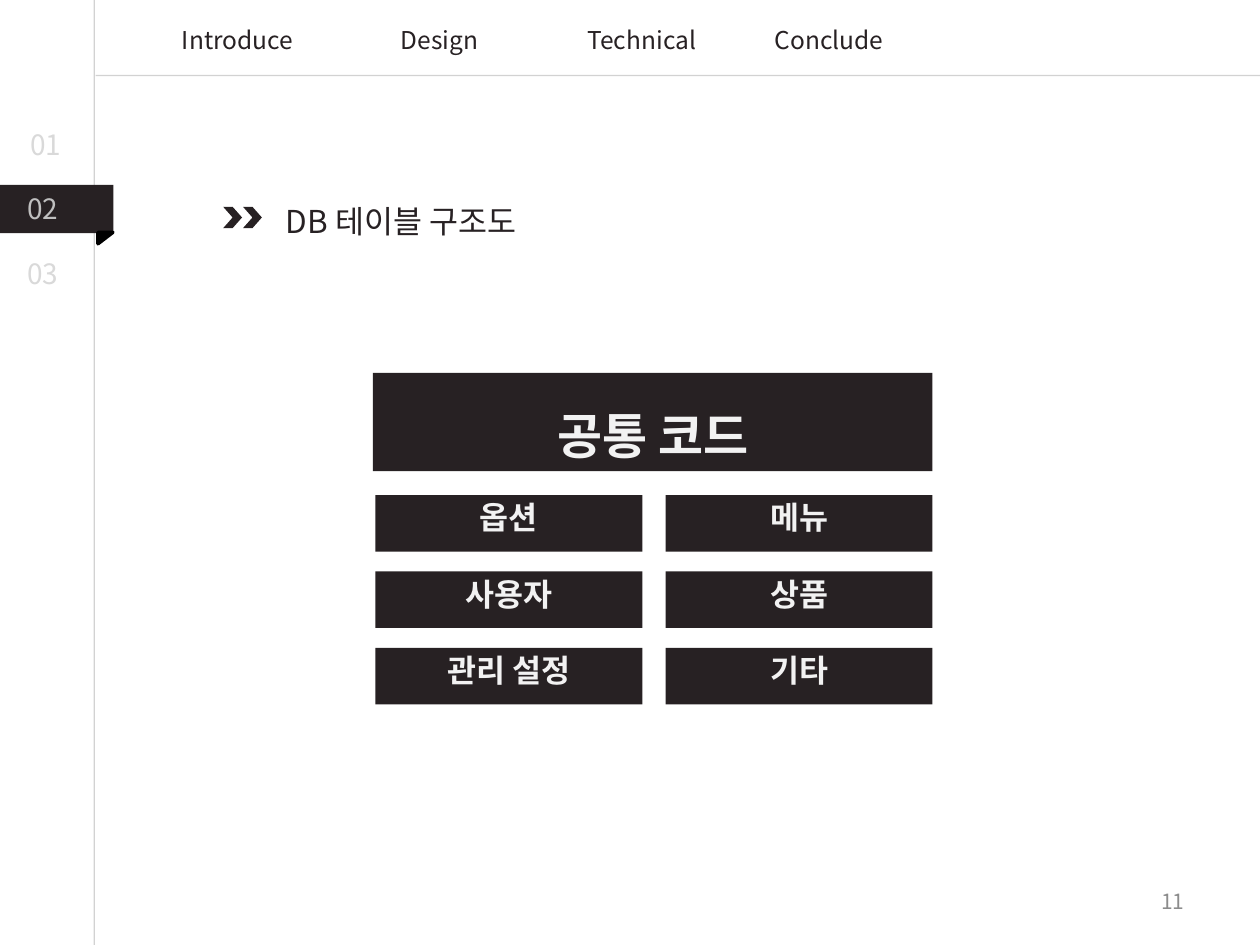
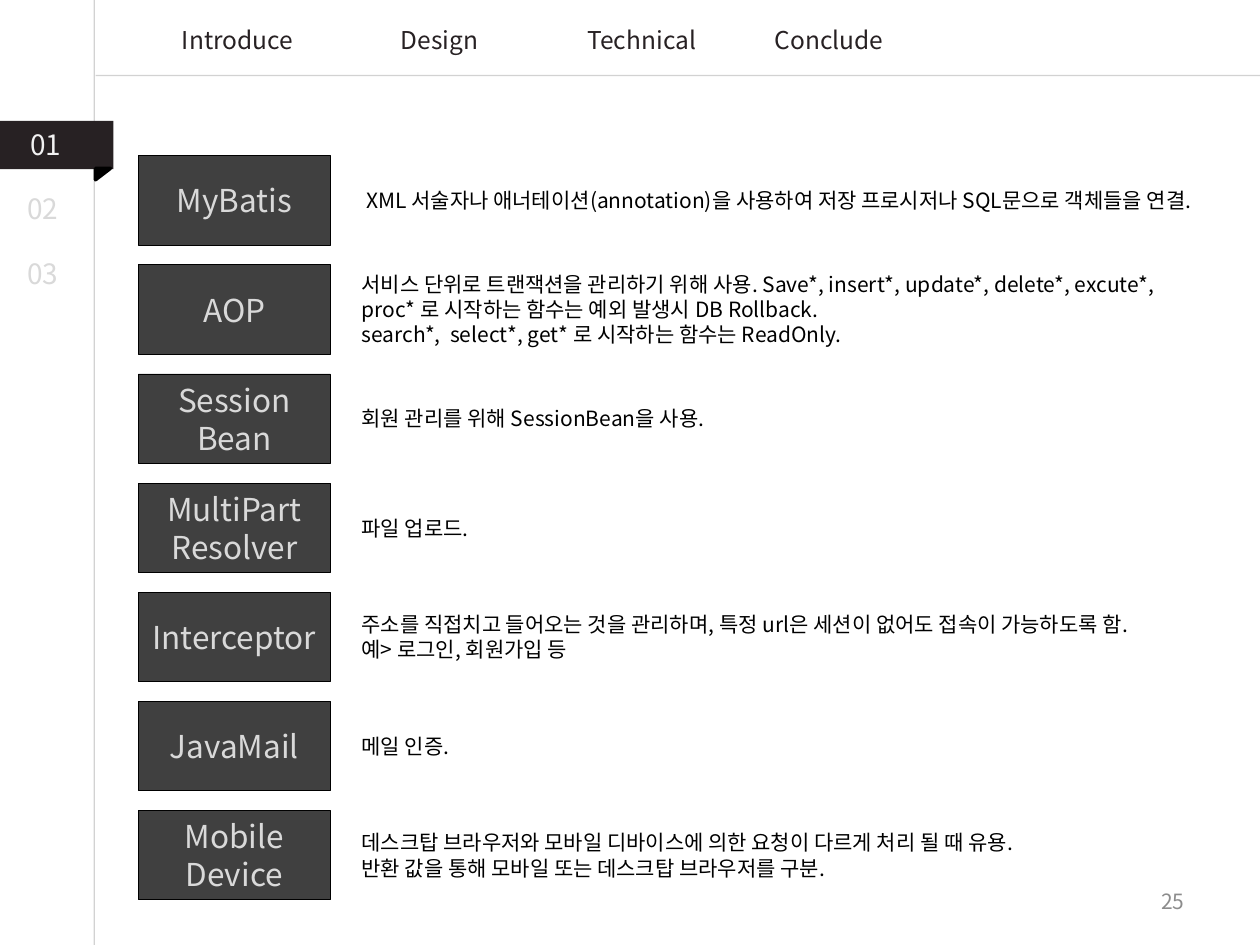
from typing import NamedTuple, Optional

import lxml.etree
import pptx
import pptx.dml.color
import pptx.enum.shapes
import pptx.enum.text
import pptx.oxml.ns
import pptx.presentation
import pptx.shapes.autoshape
import pptx.slide
import pptx.text.text
import pptx.util
from pptx.util import Cm

FONT = "Noto Sans CJK KR"
COLORS = {
    "ink": "272123",
    "black": "000000",
    "rule": "A6A6A6",
    "box": "404040",
    "box_text": "D9D9D9",
    "light": "F2F2F2",
    "tab": "D9D9D9",
    "active_tab": "BFBFBF",
    "page": "8C8C8C",
}
SLIDE_WIDTH, SLIDE_HEIGHT = 25.4, 19.05
SHAPE = pptx.enum.shapes.MSO_SHAPE
ALIGN = pptx.enum.text.PP_ALIGN
ANCHOR = pptx.enum.text.MSO_ANCHOR


class Box(NamedTuple):
    """Left, top, width and height in centimetres."""
    left: float
    top: float
    width: float
    height: float

    def lengths(self) -> list[Cm]:
        return [Cm(value) for value in self]


class TextStyle(NamedTuple):
    size: float
    color: str
    align: ALIGN = ALIGN.LEFT
    anchor: ANCHOR = ANCHOR.TOP
    bold: bool = False
    spacing: float = 1.0


class Label(NamedTuple):
    text: str
    box: Box


class Technology(NamedTuple):
    name: str
    description: str
    lines: int


MENU = [
    Label("Introduce", Box(2.9, 0.38, 3.78, 0.86)),
    Label("Design", Box(7.52, 0.38, 2.69, 0.86)),
    Label("Technical", Box(11.05, 0.38, 3.78, 0.86)),
    Label("Conclude", Box(14.83, 0.38, 3.78, 0.86)),
]
TABS = [
    Label("01", Box(0.36, 2.44, 1.5, 0.94)),
    Label("02", Box(0.3, 3.73, 1.24, 0.94)),
    Label("03", Box(0.3, 5.05, 1.24, 0.94)),
]
TABLE_GROUPS = ["옵션", "메뉴", "사용자", "상품", "관리 설정", "기타"]
TECHNOLOGIES = [
    Technology("MyBatis", " XML 서술자나 애너테이션(annotation)을 사용하여 저장 프로시저나 SQL문으로 "
               "객체들을 연결.", 1),
    Technology("AOP", "서비스 단위로 트랜잭션을 관리하기 위해 사용. Save*, insert*, update*, delete*, "
               "excute*, proc* 로 시작하는 함수는 예외 발생시 DB Rollback.\n"
               "search*,  select*, get* 로 시작하는 함수는 ReadOnly.", 3),
    Technology("Session\nBean", "회원 관리를 위해 SessionBean을 사용.", 1),
    Technology("MultiPart\nResolver", "파일 업로드.", 1),
    Technology("Interceptor", "주소를 직접치고 들어오는 것을 관리하며, 특정 url은 세션이 없어도 "
               "접속이 가능하도록 함.\n예> 로그인, 회원가입 등", 2),
    Technology("JavaMail", "메일 인증.", 1),
    Technology("Mobile Device", "데스크탑 브라우저와 모바일 디바이스에 의한 요청이 다르게 처리 될 때 유용.\n"
               "반환 값을 통해 모바일 또는 데스크탑 브라우저를 구분.", 2),
]


def rgb(name: str) -> pptx.dml.color.RGBColor:
    return pptx.dml.color.RGBColor.from_string(COLORS[name])


def write(frame: pptx.text.text.TextFrame, text: str, style: TextStyle) -> None:
    frame.text = text
    frame.word_wrap = True
    frame.vertical_anchor = style.anchor
    for paragraph in frame.paragraphs:
        paragraph.alignment = style.align
        paragraph.line_spacing = style.spacing
        for run in paragraph.runs:
            run.font.size = pptx.util.Pt(style.size)
            run.font.bold = style.bold
            run.font.color.rgb = rgb(style.color)
            run.font.name = FONT
            properties = run._r.get_or_add_rPr()
            lxml.etree.SubElement(properties, pptx.oxml.ns.qn("a:ea"), typeface=FONT)


def add_text(slide: pptx.slide.Slide, text: str, box: Box, style: TextStyle) -> None:
    frame = slide.shapes.add_textbox(*box.lengths()).text_frame
    write(frame, text, style)


def add_block(slide: pptx.slide.Slide, kind: SHAPE, box: Box, fill: str,
              line_width: Optional[float] = None) -> pptx.shapes.autoshape.Shape:
    """Add a flat shape; it has a black outline only when line_width is given."""
    shape = slide.shapes.add_shape(kind, *box.lengths())
    shape.shadow.inherit = False
    shape.fill.solid()
    shape.fill.fore_color.rgb = rgb(fill)
    if line_width is None:
        shape.line.fill.background()
    else:
        shape.line.color.rgb = rgb("black")
        shape.line.width = pptx.util.Pt(line_width)
    return shape


def add_rule(slide: pptx.slide.Slide, left: float, top: float,
             right: float, bottom: float) -> None:
    """Add a half-transparent hairline."""
    connector = slide.shapes.add_connector(
        pptx.enum.shapes.MSO_CONNECTOR.STRAIGHT, Cm(left), Cm(top), Cm(right), Cm(bottom))
    connector.line.color.rgb = rgb("rule")
    connector.line.width = pptx.util.Pt(0.75)
    qualified = pptx.oxml.ns.qn
    color = connector.element.find(".//" + qualified("a:srgbClr"))
    lxml.etree.SubElement(color, qualified("a:alpha"), val="50000")
    lxml.etree.SubElement(connector.element.spPr, qualified("a:effectLst"))


def add_frame(slide: pptx.slide.Slide, active: int, active_color: str,
              fold_left: float, page: str) -> None:
    """Add the rules, menu, chapter tabs and page number that all slides share."""
    add_rule(slide, 1.9, 0, 1.9, SLIDE_HEIGHT)
    add_rule(slide, 1.93, 1.52, SLIDE_WIDTH, 1.52)
    ribbon_top = TABS[active].box.top
    add_block(slide, SHAPE.RECTANGLE, Box(0, ribbon_top, 2.29, 0.97), "ink")
    fold = add_block(slide, SHAPE.RIGHT_TRIANGLE,
                     Box(fold_left, ribbon_top + 0.92, 0.23, 0.3), "black", 2)
    fold.rotation = 90
    for index, tab in enumerate(TABS):
        color = active_color if index == active else "tab"
        add_text(slide, tab.text, tab.box, TextStyle(16, color))
    for entry in MENU:
        add_text(slide, entry.text, entry.box, TextStyle(14, "ink", ALIGN.CENTER))
    add_text(slide, page, Box(18.21, 17.65, 5.92, 1.02),
             TextStyle(12, "page", ALIGN.RIGHT, ANCHOR.MIDDLE))


def add_tile(slide: pptx.slide.Slide, text: str, box: Box, style: TextStyle) -> None:
    tile = add_block(slide, SHAPE.RECTANGLE, box, "ink")
    tile.text_frame.margin_top = Cm(0.07)
    write(tile.text_frame, text, style)


def build_table_structure(presentation: pptx.presentation.Presentation) -> None:
    slide = presentation.slides.add_slide(presentation.slide_layouts[5])
    add_frame(slide, active=1, active_color="active_tab", fold_left=2.01, page="11")

    title = slide.shapes.title
    title.left, title.top, title.width, title.height = Box(5.51, 3.94, 8.41, 1.02).lengths()
    write(title.text_frame, "DB 테이블 구조도", TextStyle(18, "ink"))
    title.text_frame.auto_size = pptx.enum.text.MSO_AUTO_SIZE.NONE
    for left in (4.5, 4.9):
        add_block(slide, SHAPE.CHEVRON, Box(left, 4.17, 0.38, 0.43), "ink")

    heading = TextStyle(28, "light", ALIGN.CENTER, bold=True, spacing=1.5)
    add_tile(slide, "공통 코드", Box(7.52, 7.52, 11.28, 1.98), heading)
    group = TextStyle(18, "light", ALIGN.CENTER, bold=True)
    for index, name in enumerate(TABLE_GROUPS):
        row, column = divmod(index, 2)
        add_tile(slide, name, Box(7.57 + 5.85 * column, 9.98 + 1.54 * row, 5.38, 1.14), group)


def build_technologies(presentation: pptx.presentation.Presentation) -> None:
    slide = presentation.slides.add_slide(presentation.slide_layouts[6])
    add_frame(slide, active=0, active_color="light", fold_left=1.96, page="25")

    name_style = TextStyle(18, "box_text", ALIGN.CENTER, ANCHOR.MIDDLE)
    box_height = 1.8
    for row, technology in enumerate(TECHNOLOGIES):
        top = 3.14 + 2.2 * row
        box = add_block(slide, SHAPE.RECTANGLE, Box(2.79, top, 3.87, box_height), "box", 0.5)
        write(box.text_frame, technology.name, name_style)
        text_height = 0.25 + 0.51 * technology.lines
        text_top = top + (box_height - text_height) / 2
        add_text(slide, technology.description, Box(7.04, text_top, 17.2, text_height),
                 TextStyle(12, "black"))


def main() -> None:
    presentation = pptx.Presentation()
    presentation.slide_width = Cm(SLIDE_WIDTH)
    presentation.slide_height = Cm(SLIDE_HEIGHT)
    build_table_structure(presentation)
    build_technologies(presentation)
    presentation.save("out.pptx")


if __name__ == "__main__":
    main()
